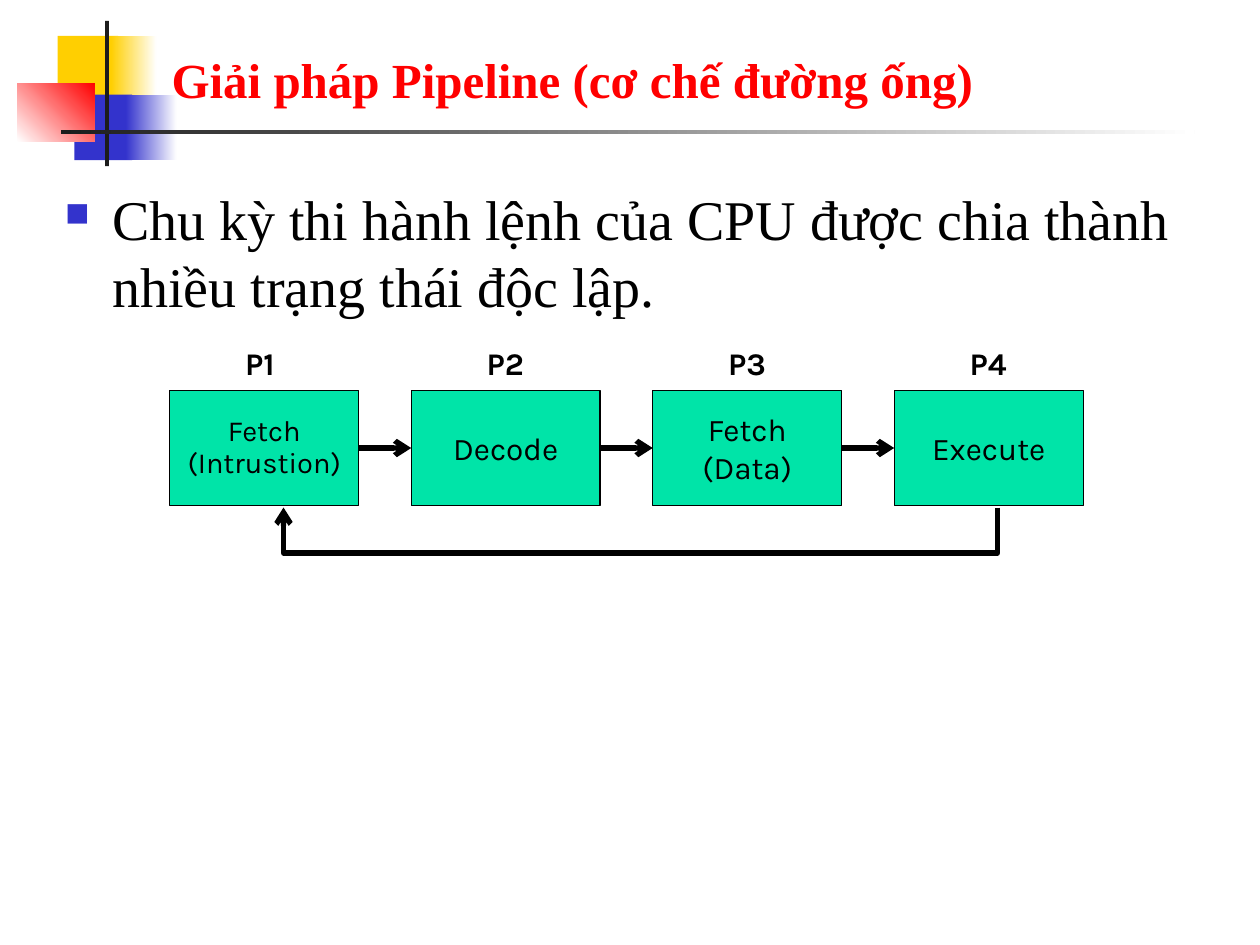
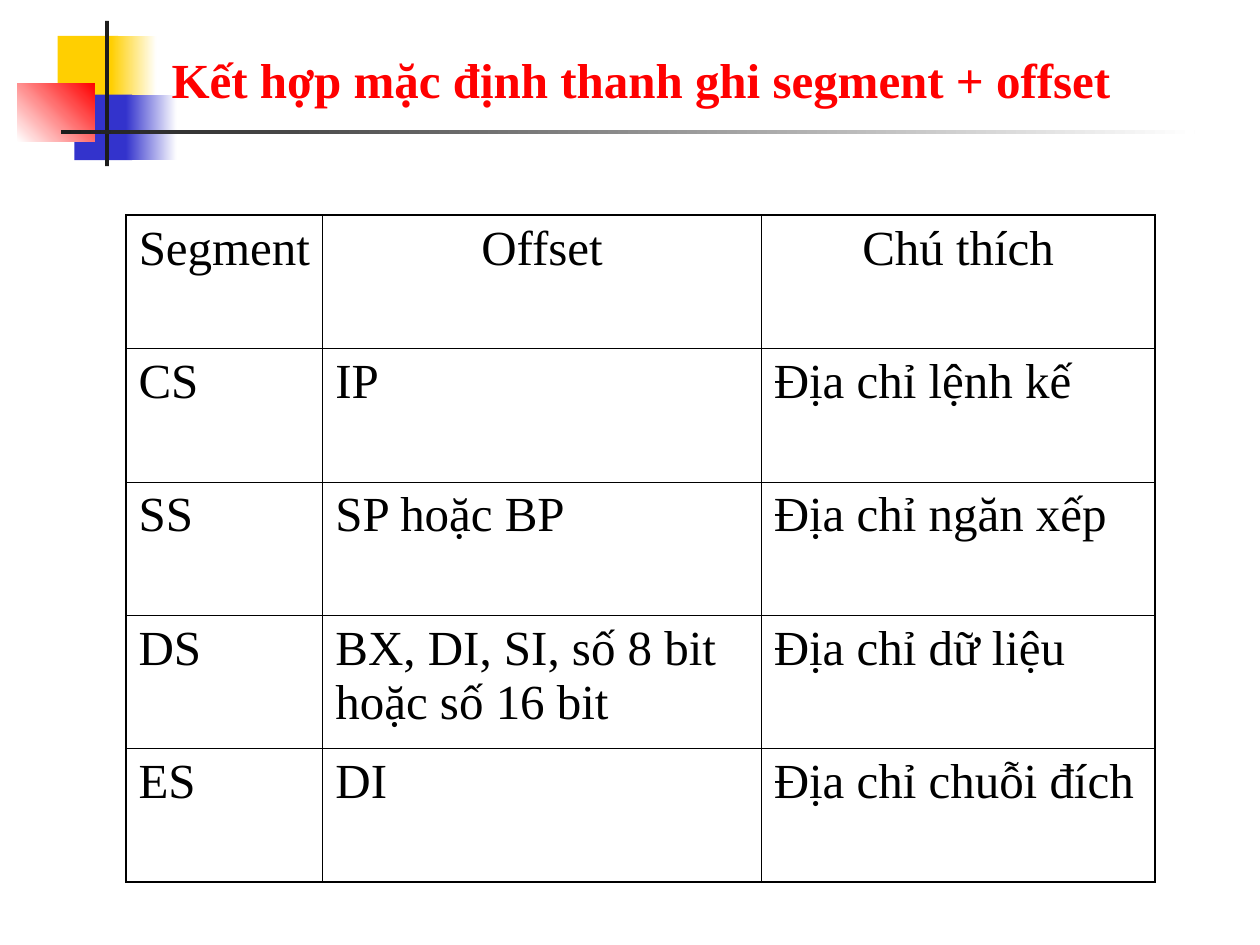
from lxml import etree
from pptx import Presentation
from pptx import util as u
from pptx.dml.color import RGBColor
from pptx.enum import shapes, text
from pptx.oxml import ns

COLORS = {
    "paper": "FFFFFF", "ink": "000000", "bar": "1C1C1C", "yellow": "FFCF01",
    "blue": "3333CC", "red": "FF0000", "stage": "00E4A8",
}
SERIF, SANS = "Times New Roman", "Karla"
LEFT, CENTER = text.PP_ALIGN.LEFT, text.PP_ALIGN.CENTER
TOP, MIDDLE, BOTTOM = (text.MSO_ANCHOR.TOP, text.MSO_ANCHOR.MIDDLE,
                       text.MSO_ANCHOR.BOTTOM)

TITLE_BOX = (91, 16.5, 613, 49)
BODY_BOX = (30, 102, 675, 381)
PIPELINE_BOX = (97, 193, 522, 123)
TABLE_BOX = (72, 123, 588, 381)


def rgb(name):
    return RGBColor.from_string(COLORS[name])


def points(*lengths):
    return [u.Pt(length) for length in lengths]


def add_element(parent, tag, **attributes):
    return etree.SubElement(parent, ns.qn(tag), attributes)


# Text
def write(frame, words, size=28, font=SERIF, color="ink", bold=False,
          align=LEFT, anchor=TOP, before=None, spacing=None, wrap=True):
    frame.word_wrap = wrap
    frame.vertical_anchor = anchor
    paragraph = frame.paragraphs[0]
    paragraph.alignment = align
    if before is not None:
        paragraph.space_before = u.Pt(before)
    if spacing is not None:
        paragraph.line_spacing = spacing
    run = paragraph.add_run()
    run.text = words
    run.font.name = font
    run.font.size = u.Pt(size)
    run.font.bold = bold
    run.font.color.rgb = rgb(color)
    return paragraph


def add_text(slide, box, words, **style):
    shape = slide.shapes.add_textbox(*points(*box))
    paragraph = write(shape.text_frame, words, **style)
    return shape, paragraph


def add_bullet(paragraph, color, percent, indent):
    properties = paragraph._p.get_or_add_pPr()
    properties.set("marL", str(u.Pt(indent)))
    properties.set("indent", str(-u.Pt(indent)))
    bullet_color = add_element(properties, "a:buClr")
    add_element(bullet_color, "a:srgbClr", val=COLORS[color])
    add_element(properties, "a:buSzPct", val=str(percent * 1000))
    add_element(properties, "a:buChar", char="■")


# Shapes and lines
def add_rectangle(slide, box, fill, fade_to=None, angle=0, outline=None):
    shape = slide.shapes.add_shape(shapes.MSO_SHAPE.RECTANGLE, *points(*box))
    shape.shadow.inherit = False
    if fade_to:
        shape.fill.gradient()
        shape.fill.gradient_angle = angle
        for stop, color in zip(shape.fill.gradient_stops, (fill, fade_to)):
            stop.color.rgb = rgb(color)
    else:
        shape.fill.solid()
        shape.fill.fore_color.rgb = rgb(fill)
    if outline:
        shape.line.color.rgb = rgb("ink")
        shape.line.width = u.Pt(outline)
    else:
        shape.line.fill.background()
    return shape


def style_arrow(line):
    line.color.rgb = rgb("ink")
    line.width = u.Pt(3)
    add_element(line._get_or_add_ln(), "a:tailEnd", type="arrow")


def join(slide, source, target):
    connector = slide.shapes.add_connector(
        shapes.MSO_CONNECTOR.STRAIGHT, 0, 0, 0, 0)
    connector.begin_connect(source, 3)
    connector.end_connect(target, 1)
    style_arrow(connector.line)
    add_element(connector._element.spPr, "a:effectLst")


# Shared heading: coloured squares, cross bars and title
def add_heading(slide, title):
    add_rectangle(slide, (33, 20.5, 34.5, 37.5), "yellow")
    add_rectangle(slide, (63.5, 20.5, 26, 37.5), "yellow", "paper")
    add_rectangle(slide, (42.5, 54, 33, 37.5), "blue")
    add_rectangle(slide, (72, 54, 29, 37.5), "blue", "paper")
    add_rectangle(slide, (10, 47.5, 44, 33.5), "paper", "red", angle=45)
    add_rectangle(slide, (60, 12, 2.25, 83), "bar")
    add_rectangle(slide, (34.75, 74, 648, 2.75), "bar", "paper")
    add_text(slide, TITLE_BOX, title, color="red", bold=True, anchor=BOTTOM)


# Four stages in a row, with a return arrow from the last to the first
def add_pipeline(slide, box, stages):
    left, top, width, height = box
    stage_width, stage_height, stage_top = 108, 66, top + 30
    pitch = (width - stage_width) / (len(stages) - 1)
    boxes = []
    for index, (words, style) in enumerate(stages):
        stage_left = left + index * pitch
        stage = add_rectangle(
            slide, (stage_left, stage_top, stage_width, stage_height),
            "stage", outline=0.75)
        write(stage.text_frame, words, font=SANS, align=CENTER,
              anchor=MIDDLE, **style)
        label, _ = add_text(
            slide, (stage_left + (stage_width - 36) / 2, top, 36, 29),
            f"P{index + 1}", size=18, font=SANS, bold=True, wrap=False)
        label.text_frame.auto_size = text.MSO_AUTO_SIZE.SHAPE_TO_FIT_TEXT
        boxes.append(stage)
    for source, target in zip(boxes, boxes[1:]):
        join(slide, source, target)

    start_x, end_x = left + width - 49, left + 65
    bottom, stage_bottom = top + height, stage_top + stage_height
    builder = slide.shapes.build_freeform(start_x, stage_bottom + 0.5,
                                          scale=u.Pt(1))
    builder.add_line_segments(
        [(start_x, bottom), (end_x, bottom), (end_x, stage_bottom + 1)],
        close=False)
    loop = builder.convert_to_shape()
    loop.shadow.inherit = False
    loop.fill.background()
    style_arrow(loop.line)


# Table with a heavier outer frame
def add_border(cell, side, width):
    line = add_element(cell._tc.get_or_add_tcPr(), f"a:ln{side}",
                       w=str(u.Pt(width)))
    fill = add_element(line, "a:solidFill")
    add_element(fill, "a:srgbClr", val=COLORS["ink"])


def add_grid(slide, box, column_widths, rows):
    last_row, last_column = len(rows) - 1, len(column_widths) - 1
    table = slide.shapes.add_table(
        len(rows), len(column_widths), *points(*box)).table
    table.first_row = table.horz_banding = False
    for column, width in zip(table.columns, column_widths):
        column.width = u.Pt(width)
    for r, row in enumerate(rows):
        table.rows[r].height = u.Pt(box[3] / len(rows))
        for c, words in enumerate(row):
            cell = table.cell(r, c)
            write(cell.text_frame, words, before=7,
                  align=CENTER if r == 0 else LEFT)
            outer_sides = {"L": c == 0, "R": c == last_column,
                           "T": r == 0, "B": r == last_row}
            for side, is_outer in outer_sides.items():
                add_border(cell, side, 1.08 if is_outer else 0.45)
            cell.fill.background()


# Slides
def build_pipeline_slide(slide):
    add_heading(slide, "Giải pháp Pipeline (cơ chế đường ống)")
    _, paragraph = add_text(
        slide, BODY_BOX,
        "Chu kỳ thi hành lệnh của CPU được chia thành nhiều trạng thái độc lập.",
        size=32, before=8)
    add_bullet(paragraph, "blue", percent=60, indent=27)
    add_pipeline(slide, PIPELINE_BOX, [
        ("Fetch (Intrustion)", {"size": 16.6, "spacing": 0.9}),
        ("Decode", {"size": 18}),
        ("Fetch (Data)", {"size": 18}),
        ("Execute", {"size": 18}),
    ])


def build_segment_slide(slide):
    add_heading(slide, "Kết hợp mặc định thanh ghi segment + offset")
    add_grid(slide, TABLE_BOX, (112.5, 250.5, 225), [
        ("Segment", "Offset", "Chú thích"),
        ("CS", "IP", "Địa chỉ lệnh kế"),
        ("SS", "SP hoặc BP", "Địa chỉ ngăn xếp"),
        ("DS", "BX, DI, SI, số 8 bit hoặc số 16 bit", "Địa chỉ dữ liệu"),
        ("ES", "DI", "Địa chỉ chuỗi đích"),
    ])


def main():
    presentation = Presentation()
    presentation.slide_width, presentation.slide_height = points(720, 540)
    blank = presentation.slide_layouts[6]
    for build in (build_pipeline_slide, build_segment_slide):
        build(presentation.slides.add_slide(blank))
    presentation.save("out.pptx")


if __name__ == "__main__":
    main()
